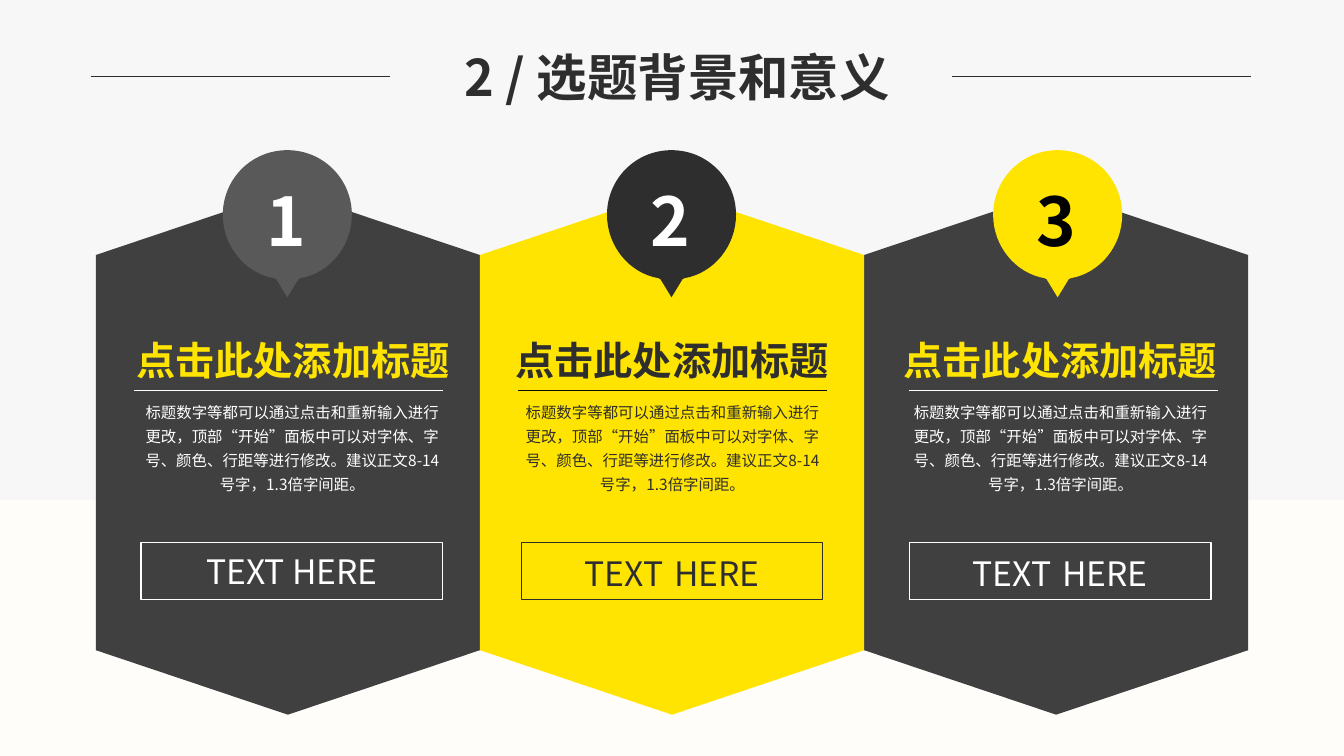
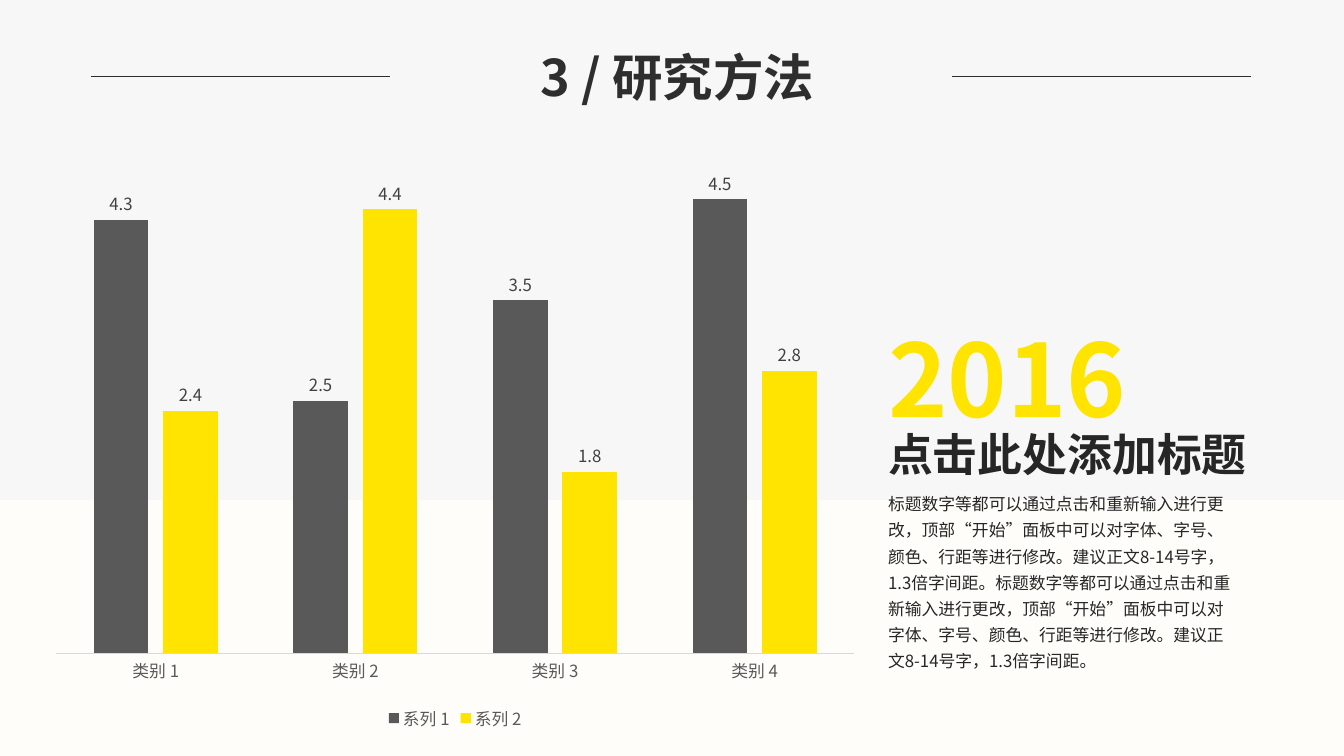
from collections import namedtuple

from lxml.etree import Element, SubElement
from pptx import Presentation
from pptx.chart.data import CategoryChartData as ChartData
from pptx.dml.color import RGBColor
from pptx.enum.chart import XL_CHART_TYPE as Chart
from pptx.enum.chart import XL_LABEL_POSITION as Label
from pptx.enum.chart import XL_LEGEND_POSITION as Legend
from pptx.enum.chart import XL_TICK_MARK as Tick
from pptx.enum.shapes import MSO_CONNECTOR as Link
from pptx.enum.shapes import MSO_SHAPE as Shape
from pptx.enum.text import MSO_ANCHOR as Anchor
from pptx.enum.text import MSO_AUTO_SIZE as Size
from pptx.enum.text import PP_ALIGN as Align
from pptx.oxml.ns import qn
from pptx.util import Inches, Pt

FONT = "Noto Sans CJK SC"
PAPER, BAND = "F7F7F7", "FEFDF9"
YELLOW, WHITE, BLACK = "FFE401", "FFFFFF", "000000"
INK, TEXT, GREY, CARD = "2E2E2E", "262626", "595959", "404040"
HEAD = "点击此处添加标题"
BODY = (
    "标题数字等都可以通过点击和重新输入进行更改，顶部“开始”面板中可以对字体、"
    "字号、颜色、行距等进行修改。建议正文8-14号字，1.3倍字间距。"
)

Panel = namedtuple(
    "Panel", "num left pin head body rule frame fill title ink badge digit line gap")
PANELS = [
    Panel("1", 0.95, 2.85, 1.23, 1.33, 1.33, 1.4,
          CARD, YELLOW, WHITE, GREY, WHITE, WHITE, 24),
    Panel("3", 8.57, 10.49, 8.84, 8.95, 9.02, 9.02,
          CARD, YELLOW, WHITE, YELLOW, BLACK, WHITE, 28),
    Panel("2", 4.76, 6.66, 4.99, 5.1, 5.14, 5.17,
          YELLOW, INK, INK, INK, WHITE, "0D0D0D", 28),
]

PIN = [
    [(0.36, 0), (0.64, 0.29), (0.64, 0.64)],
    [(0.64, 0.95), (0.42, 1.22), (0.13, 1.27)],
    [(0.11, 1.28)],
    [(0, 1.46)],
    [(-0.11, 1.28)],
    [(-0.13, 1.27)],
    [(-0.42, 1.22), (-0.64, 0.95), (-0.64, 0.64)],
    [(-0.64, 0.29), (-0.36, 0), (0, 0)],
]


def rgb(color):
    return RGBColor.from_string(color)


def box(*sizes):
    return [Inches(size) for size in sizes]


def paint(shape, fill=None, line=None):
    shape.shadow.inherit = False
    if fill:
        shape.fill.solid()
        shape.fill.fore_color.rgb = rgb(fill)
    else:
        shape.fill.background()
    if line:
        shape.line.color.rgb = rgb(line)
        shape.line.width = Pt(1)
    else:
        shape.line.fill.background()
    return shape


def style(font, size, color, bold=False):
    font.name = FONT
    font.size = Pt(size)
    font.bold = bold
    font.color.rgb = rgb(color)


def set_asian(root):
    for latin in root.iter(qn("a:latin")):
        asian = Element(qn("a:ea"))
        asian.set("typeface", FONT)
        latin.addnext(asian)


def add_text(slide, place, text, size, color, bold=False, align=Align.LEFT, wrap=True, space=None):
    frame = slide.shapes.add_textbox(*box(*place)).text_frame
    frame.word_wrap = wrap
    frame.auto_size = Size.SHAPE_TO_FIT_TEXT
    para = frame.paragraphs[0]
    para.text = text
    para.alignment = align
    para.line_spacing = space
    style(para.font, size, color, bold)


def add_rule(slide, left, top, width, color):
    rule = slide.shapes.add_connector(Link.STRAIGHT, *box(left, top, left + width, top))
    rule.line.color.rgb = rgb(color)
    rule.line.width = Pt(0.5)
    SubElement(rule._element.spPr, qn("a:effectLst"))


def add_page(deck, title, left, width):
    slide = deck.slides.add_slide(deck.slide_layouts[6])
    add_text(slide, (left, 0.41, width, 0.71), title, 36, INK, True, Align.CENTER, False)
    for start in (9.44, 0.9):
        add_rule(slide, start, 0.76, 2.97, INK)
    return slide


def set_master(deck, slide):
    master = deck.slide_master
    master.background.fill.solid()
    master.background.fill.fore_color.rgb = rgb(PAPER)
    band = paint(slide.shapes.add_shape(Shape.RECTANGLE, *box(0, 4.96, 13.33, 2.54)), BAND)
    master.shapes._spTree.insert(2, band._element)


def add_card(slide, left, fill):
    group = slide.shapes.add_group_shape()
    parts = [
        (Shape.RECTANGLE, 2.53, 3.92, 0),
        (Shape.ISOSCELES_TRIANGLE, 1.89, 0.64, 0),
        (Shape.ISOSCELES_TRIANGLE, 6.45, 0.64, 180),
    ]
    for kind, top, height, turn in parts:
        part = group.shapes.add_shape(kind, *box(left, top, 3.81, height))
        part.rotation = turn
        paint(part, fill)


def add_pin(slide, mid, fill):
    top = 1.49
    points = [box(mid + x, top + y) for step in PIN for x, y in step]
    outline = slide.shapes.build_freeform(*box(mid, top))
    outline.add_line_segments(points)
    shape = paint(outline.convert_to_shape(), fill)
    lines = iter(list(shape._element.iter(qn("a:lnTo"))))
    for step in PIN:
        parts = [next(lines) for _ in step]
        if len(parts) == 3:
            curve = Element(qn("a:cubicBezTo"))
            parts[0].addprevious(curve)
            for part in parts:
                curve.append(part[0])
                part.getparent().remove(part)


def add_frame(slide, left, color, gap):
    shape = slide.shapes.add_shape(Shape.RECTANGLE, *box(left, 5.38, 2.99, 0.57))
    frame = paint(shape, line=color).text_frame
    frame.vertical_anchor = Anchor.MIDDLE
    para = frame.paragraphs[0]
    para.alignment = Align.CENTER
    style(para.font, 24, color)
    if gap == 24:
        para.text = "TEXT HERE"
        return
    for word in ("TEXT", " ", "HERE"):
        run = para.add_run()
        run.text = word
        if word == " ":
            run.font.name = "Arial"
            run.font.size = Pt(gap)


def add_panel(slide, item):
    add_card(slide, item.left, item.fill)
    add_pin(slide, item.pin, item.badge)
    add_text(slide, (item.pin - 0.31, 1.73, 0.62, 0.91), item.num, 48, item.digit, True, wrap=False)
    add_text(slide, (item.head, 3.29, 3.35, 0.57), HEAD, 28, item.title, True, Align.CENTER)
    add_text(slide, (item.body, 3.9, 3.14, 1.06), BODY, 11, item.ink,
             align=Align.CENTER, space=1.3)
    add_rule(slide, item.rule, 3.87, 3.06, item.line)
    add_frame(slide, item.frame, item.ink, item.gap)


def add_bars(slide):
    data = ChartData()
    data.categories = [f"类别 {num}" for num in range(1, 5)]
    data.add_series("系列 1", (4.3, 2.5, 3.5, 4.5))
    data.add_series("系列 2", (2.4, 4.4, 1.8, 2.8))
    place = box(0.39, 1.36, 8.25, 5.93)
    chart = slide.shapes.add_chart(Chart.COLUMN_CLUSTERED, *place, data).chart
    style(chart.font, 10, BLACK)
    chart.has_title = False
    chart.has_legend = True
    chart.legend.position = Legend.BOTTOM
    chart.legend.include_in_layout = False
    style(chart.legend.font, 12, GREY)

    scale = chart.value_axis
    scale.visible = False
    scale.has_major_gridlines = False
    scale.minimum_scale, scale.maximum_scale = 0, 5
    base = chart.category_axis
    base.major_tick_mark = Tick.NONE
    base.format.line.color.rgb = rgb("D9D9D9")
    base.format.line.width = Pt(0.75)
    style(base.tick_labels.font, 12, GREY)

    plot = chart.plots[0]
    plot.gap_width, plot.overlap = 138, -27
    plot.vary_by_categories = False
    for series, color in zip(plot.series, (GREY, YELLOW)):
        series.format.fill.solid()
        series.format.fill.fore_color.rgb = rgb(color)
        labels = series.data_labels
        labels.show_value = True
        labels.position = Label.OUTSIDE_END
        style(labels.font, 12, CARD)
    set_asian(chart._chartSpace)


def add_topic(deck):
    slide = add_page(deck, " 2 / 选题背景和意义", 4.28, 4.76)
    set_master(deck, slide)
    for item in PANELS:
        add_panel(slide, item)
    set_asian(slide._element)


def add_method(deck):
    slide = add_page(deck, " 3 / 研究方法", 5.05, 3.22)
    add_bars(slide)
    add_text(slide, (8.71, 4.18, 3.81, 0.64), HEAD, 32, TEXT, True)
    add_text(slide, (8.71, 4.79, 3.67, 1.91), BODY * 2, 12, TEXT, space=1.3)
    add_text(slide, (8.71, 3.09, 3.81, 1.31), "2016", 72, YELLOW, True)
    set_asian(slide._element)


def main():
    deck = Presentation()
    deck.slide_width, deck.slide_height = box(13.33, 7.5)
    add_topic(deck)
    add_method(deck)
    deck.save("out.pptx")


if __name__ == "__main__":
    main()
